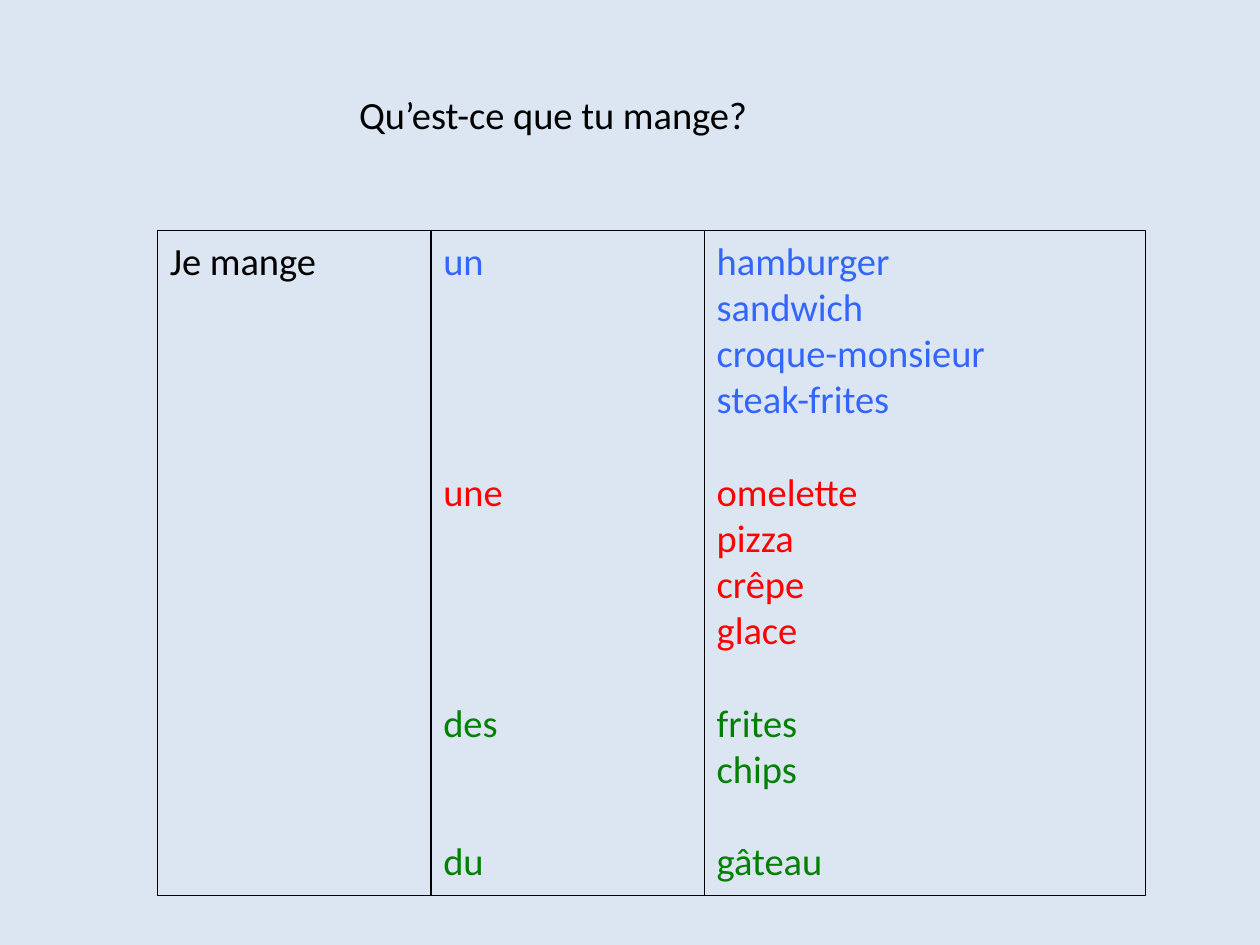
from typing import NamedTuple

from pptx import Presentation
from pptx.dml.color import RGBColor
from pptx.enum.shapes import MSO_SHAPE
from pptx.enum.text import MSO_ANCHOR, MSO_AUTO_SIZE, PP_ALIGN
from pptx.util import Inches, Pt

RECTANGLE = MSO_SHAPE.RECTANGLE
TOP = MSO_ANCHOR.TOP
LEFT = PP_ALIGN.LEFT
GROW = MSO_AUTO_SIZE.SHAPE_TO_FIT_TEXT

COLORS = {
    "background": "DCE6F2",
    "text": "000000",
    "masculine": "3366FF",
    "feminine": "FF0000",
    "other": "008000",
}
FONT = "Calibri"
FONT_SIZE = 22
LINE_HEIGHT = 26.4  # points taken by one line of text
COLUMN_TOP, COLUMN_HEIGHT = 1.83, 5.28
FIRST_COLUMN_LEFT = 1.25


class FoodGroup(NamedTuple):
    article: str
    foods: list[str]
    color: str


class Line(NamedTuple):
    text: str
    color: str = "text"
    lines_before: int = 0


class Column(NamedTuple):
    width: float
    lines: list[Line]


FOOD_GROUPS = [
    FoodGroup("un", ["hamburger", "sandwich", "croque-monsieur", "steak-frites"], "masculine"),
    FoodGroup("une", ["omelette", "pizza", "crêpe", "glace"], "feminine"),
    FoodGroup("des", ["frites", "chips"], "other"),
    FoodGroup("du", ["gâteau"], "other"),
]


def rgb(name: str) -> RGBColor:
    return RGBColor.from_string(COLORS[name])


def article_lines(groups: list[FoodGroup]) -> list[Line]:
    """Put each article level with the first food of its group."""
    gaps = [0] + [len(group.foods) for group in groups[:-1]]
    return [Line(group.article, group.color, gap) for group, gap in zip(groups, gaps)]


def food_lines(groups: list[FoodGroup]) -> list[Line]:
    return [
        Line(food, group.color, int(group_index > 0 and food_index == 0))
        for group_index, group in enumerate(groups)
        for food_index, food in enumerate(group.foods)
    ]


def write_lines(shape, lines: list[Line]) -> None:
    frame = shape.text_frame
    frame.text = "\n".join(line.text for line in lines)
    frame.word_wrap = True
    frame.auto_size = GROW
    frame.vertical_anchor = TOP
    for paragraph, line in zip(frame.paragraphs, lines):
        paragraph.alignment = LEFT
        if line.lines_before:
            paragraph.space_before = Pt(line.lines_before * LINE_HEIGHT)
        for run in paragraph.runs:
            run.font.name = FONT
            run.font.size = Pt(FONT_SIZE)
            run.font.color.rgb = rgb(line.color)


def draw_column(slide, left: float, column: Column) -> None:
    box = slide.shapes.add_shape(
        RECTANGLE, Inches(left), Inches(COLUMN_TOP), Inches(column.width), Inches(COLUMN_HEIGHT)
    )
    box.shadow.inherit = False
    box.fill.background()
    box.line.color.rgb = rgb("text")
    box.line.width = Pt(0.75)
    write_lines(box, column.lines)


def main() -> None:
    presentation = Presentation()
    presentation.slide_width, presentation.slide_height = Inches(10), Inches(7.5)
    slide = presentation.slides.add_slide(presentation.slide_layouts[5])
    slide.background.fill.solid()
    slide.background.fill.fore_color.rgb = rgb("background")

    title = slide.shapes.title
    title.left, title.top = Inches(2.75), Inches(0.67)
    title.width, title.height = Inches(6), Inches(0.47)
    write_lines(title, [Line("Qu’est-ce que tu mange?")])

    columns = [
        Column(2.17, [Line("Je mange")]),
        Column(2.17, article_lines(FOOD_GROUPS)),
        Column(3.5, food_lines(FOOD_GROUPS)),
    ]
    left = FIRST_COLUMN_LEFT
    for column in columns:
        draw_column(slide, left, column)
        left += column.width

    presentation.save("out.pptx")


if __name__ == "__main__":
    main()
